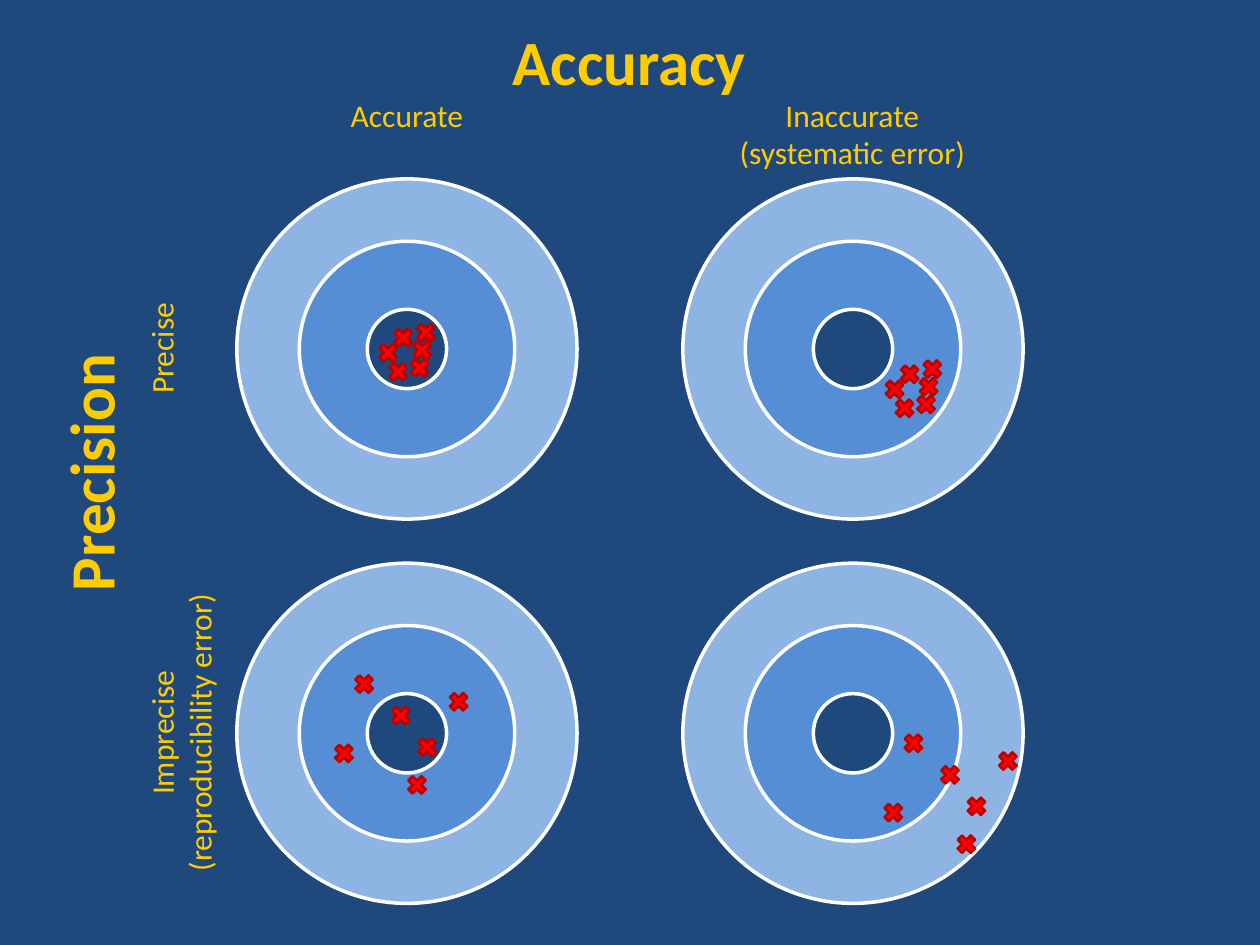
from dataclasses import dataclass

from pptx import Presentation
from pptx.dml.color import RGBColor
from pptx.enum.shapes import MSO_SHAPE
from pptx.enum.text import MSO_AUTO_SIZE, PP_ALIGN
from pptx.util import Inches, Pt

OVAL = MSO_SHAPE.OVAL
CROSS = MSO_SHAPE.MATH_MULTIPLY
CENTER = PP_ALIGN.CENTER
FIT_SHAPE = MSO_AUTO_SIZE.SHAPE_TO_FIT_TEXT

NAVY = RGBColor(0x1F, 0x49, 0x7D)
BLUE = RGBColor(0x55, 0x8E, 0xD5)
PALE_BLUE = RGBColor(0x8E, 0xB4, 0xE3)
WHITE = RGBColor(0xFF, 0xFF, 0xFF)
RED = RGBColor(0xFF, 0x00, 0x00)
DARK_RED = RGBColor(0xC0, 0x00, 0x00)
GOLD = RGBColor(0xFF, 0xCC, 0x00)

FONT = "Calibri"
RINGS = ((2.7, PALE_BLUE), (1.71, BLUE), (0.63, NAVY))
HIT_SIZE = 0.2
ACCURATE_X, INACCURATE_X = 3.23, 6.77
PRECISE_Y, IMPRECISE_Y = 2.77, 5.82

TIGHT = ((-0.03, -0.09), (0.12, 0.01), (-0.07, 0.18),
         (0.15, -0.13), (-0.15, 0.03), (0.1, 0.15))
SCATTERED = ((-0.05, -0.14), (0.16, 0.11), (-0.5, 0.16),
             (0.41, -0.25), (-0.34, -0.39), (0.08, 0.41))


@dataclass(frozen=True)
class Target:
    x: float
    y: float
    hits: tuple
    drift_x: float = 0
    drift_y: float = 0


@dataclass(frozen=True)
class Label:
    text: str
    left: float
    top: float
    width: float
    height: float
    size: int = 18
    bold: bool = False
    vertical: bool = False


TARGETS = (
    Target(INACCURATE_X, PRECISE_Y, TIGHT, 0.48, 0.29),
    Target(ACCURATE_X, PRECISE_Y, TIGHT),
    Target(INACCURATE_X, IMPRECISE_Y, SCATTERED, 0.82, 0.47),
    Target(ACCURATE_X, IMPRECISE_Y, SCATTERED),
)

LABELS = (
    Label("Accurate", 2.68, 0.71, 1.1, 0.4),
    Label("Inaccurate\n(systematic error)", 5.76, 0.71, 2.01, 0.71),
    Label("Precise", 1.08, 2.35, 0.5, 0.83, vertical=True),
    Label("Imprecise\n(reproducibility error)", 1.08, 4.65, 0.81, 2.33, vertical=True),
    Label("Accuracy", 3.96, 0.13, 2.07, 0.71, 36, True),
    Label("Precision", 0.36, 2.75, 0.81, 2, 36, True, True),
)


def draw_centered(shapes, kind: MSO_SHAPE, x: float, y: float, size: float,
                  fill: RGBColor, line: RGBColor, weight: float) -> None:
    shape = shapes.add_shape(kind, Inches(x - size / 2), Inches(y - size / 2),
                             Inches(size), Inches(size))
    shape.shadow.inherit = False
    shape.fill.solid()
    shape.fill.fore_color.rgb = fill
    shape.line.color.rgb = line
    shape.line.width = Pt(weight)


def draw_target(slide, target: Target) -> None:
    group = slide.shapes.add_group_shape()
    for size, color in RINGS:
        draw_centered(group.shapes, OVAL, target.x, target.y, size, color, WHITE, 2)


def draw_hits(slide, target: Target) -> None:
    for hit_x, hit_y in target.hits:
        draw_centered(slide.shapes, CROSS, target.x + target.drift_x + hit_x,
                      target.y + target.drift_y + hit_y, HIT_SIZE, RED, DARK_RED, 1.5)


def draw_label(slide, label: Label) -> None:
    box = slide.shapes.add_textbox(Inches(label.left), Inches(label.top),
                                   Inches(label.width), Inches(label.height))
    frame = box.text_frame
    frame.text = label.text
    frame.word_wrap = False
    frame.auto_size = FIT_SHAPE
    if label.vertical:
        frame._txBody.bodyPr.set("vert", "vert270")
    for para in frame.paragraphs:
        para.alignment = CENTER
        for span in para.runs:
            span.font.name = FONT
            span.font.size = Pt(label.size)
            span.font.bold = label.bold
            span.font.color.rgb = GOLD


def main() -> None:
    deck = Presentation()
    deck.slide_width = Inches(10)
    deck.slide_height = Inches(7.5)
    slide = deck.slides.add_slide(deck.slide_layouts[6])
    slide.background.fill.solid()
    slide.background.fill.fore_color.rgb = NAVY
    for target in TARGETS:
        draw_target(slide, target)
    for target in TARGETS:
        draw_hits(slide, target)
    for label in LABELS:
        draw_label(slide, label)
    deck.save("out.pptx")


if __name__ == "__main__":
    main()
